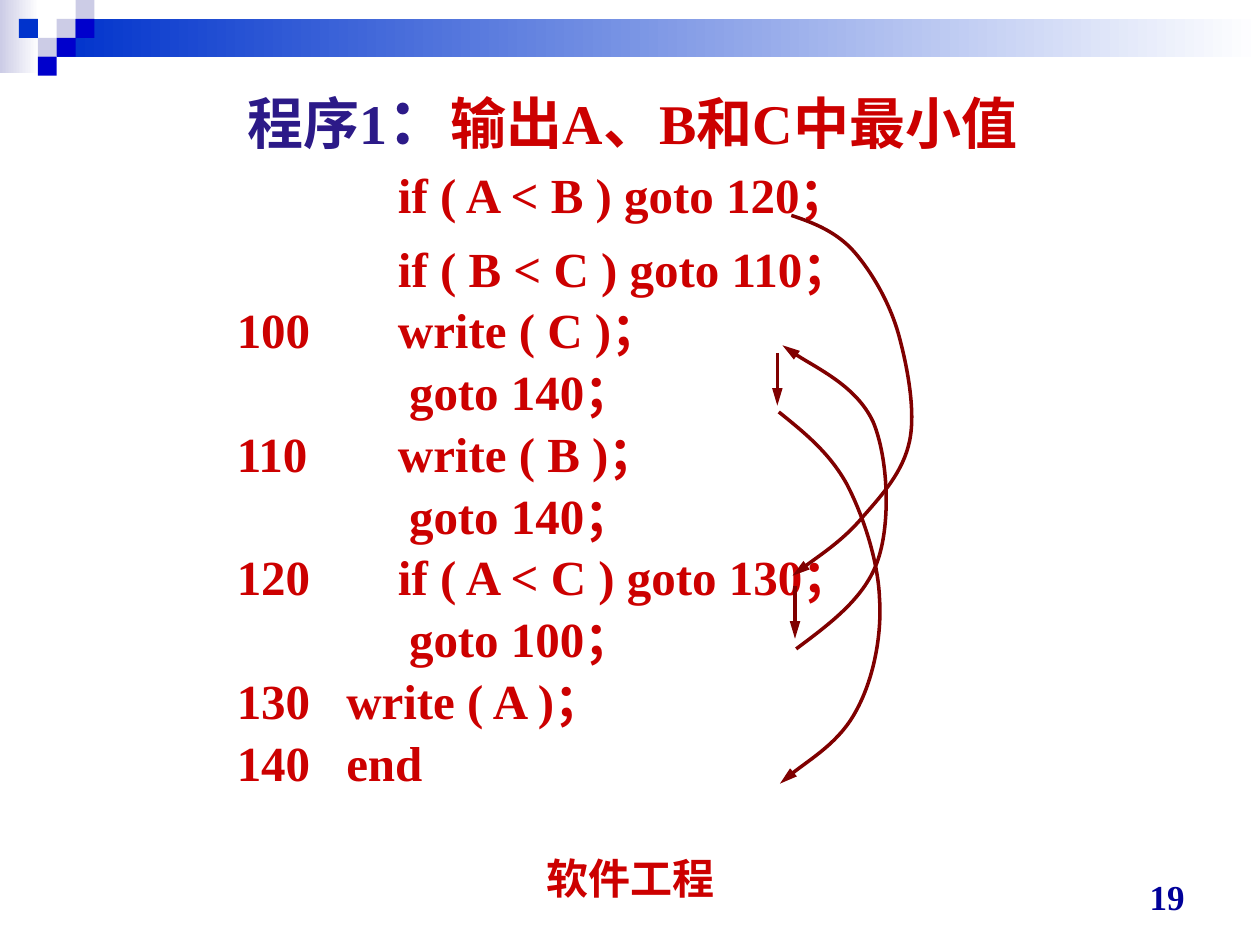
from typing import NamedTuple

from pptx import Presentation
from pptx.dml.color import RGBColor
from pptx.enum.shapes import MSO_CONNECTOR, MSO_SHAPE
from pptx.enum.text import MSO_ANCHOR, PP_ALIGN
from pptx.oxml.ns import qn
from pptx.util import Pt
from lxml.etree import SubElement

SERIF, SANS = "Times New Roman", "Arial"
RED, NAVY, INDIGO, MAROON = "CC0000", "000099", "2C1A88", "800000"
WHITE, LAVENDER, BLUE, DEEP_BLUE = "FFFFFF", "CCCCE6", "0033CC", "0000CC"
SQUARE = 10.8
LABEL_COLUMN = 14.4


class Span(NamedTuple):
    text: str
    size: float
    font: str
    color: str


class Tile(NamedTuple):
    column: int
    row: int
    color: str


class Statement(NamedTuple):
    label: str
    lines: tuple[str, ...]
    column: float = 106.5
    space_before: float = 0


class Jump(NamedTuple):
    """Start point, then two control points and an end point per curve segment."""
    points: tuple[tuple[float, float], ...]


class Step(NamedTuple):
    x: float
    top: float
    bottom: float


class Caption(NamedTuple):
    left: float
    top: float
    width: float
    height: float
    anchor: MSO_ANCHOR
    align: PP_ALIGN
    spans: tuple[Span, ...]


TILES = (
    Tile(3, 1, LAVENDER), Tile(4, 0, LAVENDER), Tile(4, 1, DEEP_BLUE),
    Tile(2, 2, LAVENDER), Tile(1, 1, BLUE), Tile(3, 2, DEEP_BLUE),
    Tile(2, 3, DEEP_BLUE),
)
PROGRAM = (
    Statement("", ("if ( A < B ) goto 120；",), space_before=7),
    Statement("", ("if ( B < C ) goto 110；",), space_before=7),
    Statement("100", ("write ( C )；", " goto 140；")),
    Statement("110", ("write ( B )；", " goto 140；")),
    Statement("120", ("if ( A < C ) goto 130；", " goto 100；")),
    Statement("130", ("write ( A )；",), column=77),
    Statement("140", ("end",), column=77),
)
JUMPS = (
    Jump(((452.2, 123.1), (465.1, 127.4), (478.1, 132.5), (488.2, 144),
          (498.2, 155.5), (508.3, 172.8), (513.4, 190.8),
          (518.4, 208.8), (523.4, 234.7), (519.8, 252),
          (516.2, 269.3), (504.7, 282.2), (493.2, 295.2),
          (482.4, 308.2), (460.1, 323.3), (452.9, 329))),
    Jump(((455, 370.8), (475.2, 355.7), (494.6, 341.3), (501.8, 319.7),
          (509, 298.1), (507.6, 262.1), (499, 241.2),
          (489.6, 221), (455.8, 204.5), (447.1, 197.3))),
    Jump(((445, 235.4), (459.4, 247), (473.8, 258.5), (483.8, 276.5),
          (493.2, 294.5), (501.8, 320.4), (502.6, 342),
          (504, 363.6), (499, 388.8), (488.9, 406.8),
          (479.5, 424.1), (452.9, 440.6), (445.7, 447.8))),
)
STEPS = (Step(454.3, 334.8, 365), Step(444.2, 201.6, 231.8))
CAPTIONS = (
    Caption(37.4, 25.2, 648, 85.7, MSO_ANCHOR.MIDDLE, PP_ALIGN.CENTER, (
        Span("程序1", 32, SERIF, INDIGO), Span("：", 36, SANS, INDIGO),
        Span("输出A、B和C中最小值", 32, SERIF, RED))),
    Caption(246.2, 483.8, 228.2, 36, MSO_ANCHOR.BOTTOM, PP_ALIGN.CENTER,
            (Span("软件工程", 24, SANS, RED),)),
    Caption(516.2, 491.8, 167.8, 36, MSO_ANCHOR.BOTTOM, PP_ALIGN.RIGHT,
            (Span("19", 20, SERIF, NAVY),)),
)


def rgb(color: str) -> RGBColor:
    return RGBColor.from_string(color)


def add_block(page, left: float, top: float, width: float, height: float,
              color: str, fade: bool = False) -> None:
    """Draw a borderless rectangle, solid or fading to white on the right."""
    block = page.shapes.add_shape(
        MSO_SHAPE.RECTANGLE, Pt(left), Pt(top), Pt(width), Pt(height))
    block.shadow.inherit = False
    block.line.fill.background()
    if fade:
        block.fill.gradient()
        block.fill.gradient_angle = 0
        for stop, stop_color in zip(block.fill.gradient_stops, (color, WHITE)):
            stop.color.rgb = rgb(stop_color)
    else:
        block.fill.solid()
        block.fill.fore_color.rgb = rgb(color)


def add_frame(page, left: float, top: float, width: float, height: float,
              anchor: MSO_ANCHOR):
    box = page.shapes.add_textbox(Pt(left), Pt(top), Pt(width), Pt(height))
    frame = box.text_frame
    frame.word_wrap = True
    frame.vertical_anchor = anchor
    return frame


def add_span(para, span: Span) -> None:
    run = para.add_run()
    run.text = span.text
    run.font.size = Pt(span.size)
    run.font.name = span.font
    run.font.bold = True
    run.font.color.rgb = rgb(span.color)


def add_caption(page, caption: Caption) -> None:
    frame = add_frame(page, *caption[:5])
    para = frame.paragraphs[0]
    para.alignment = caption.align
    for span in caption.spans:
        add_span(para, span)


def add_statement(para, statement: Statement) -> None:
    """Hang the label to the left of the code column."""
    para.line_spacing = 1.05
    para.space_before = Pt(statement.space_before)
    hang = LABEL_COLUMN - statement.column if statement.label else 0
    properties = para._p.get_or_add_pPr()
    properties.set("marL", str(Pt(statement.column)))
    properties.set("indent", str(Pt(hang)))
    if statement.label:
        add_span(para, Span(statement.label + "\t", 28, SERIF, RED))
    for number, line in enumerate(statement.lines):
        if number:
            para.add_line_break()
        add_span(para, Span(line, 28, SERIF, RED))


def style_arrow(arrow) -> None:
    arrow.line.color.rgb = rgb(MAROON)
    arrow.line.width = Pt(2)
    properties = arrow._element.spPr
    SubElement(properties.find(qn("a:ln")), qn("a:tailEnd"),
               type="triangle", w="med", len="lg")
    if properties.find(qn("a:effectLst")) is None:
        SubElement(properties, qn("a:effectLst"))


def add_jump(page, jump: Jump) -> None:
    """Build an open outline, then merge each three vertices into one Bézier."""
    start, *rest = [(Pt(x), Pt(y)) for x, y in jump.points]
    builder = page.shapes.build_freeform(*start)
    builder.add_line_segments(rest, close=False)
    curve = builder.convert_to_shape()
    curve.shadow.inherit = False
    curve.fill.background()
    vertices = curve._element.xpath(".//a:lnTo")
    outline = vertices[0].getparent()
    for first in range(0, len(vertices), 3):
        bezier = SubElement(outline, qn("a:cubicBezTo"))
        for vertex in vertices[first:first + 3]:
            bezier.append(vertex[0])
            outline.remove(vertex)
    style_arrow(curve)


def add_step(page, step: Step) -> None:
    style_arrow(page.shapes.add_connector(
        MSO_CONNECTOR.STRAIGHT, Pt(step.x), Pt(step.top), Pt(step.x), Pt(step.bottom)))


def main() -> None:
    deck = Presentation()
    deck.slide_width, deck.slide_height = Pt(720), Pt(540)
    page = deck.slides.add_slide(deck.slide_layouts[6])

    add_block(page, 0, 0, 22.3, 41.8, LAVENDER, fade=True)
    add_block(page, 3 * SQUARE, SQUARE, 687.6, 2 * SQUARE, BLUE, fade=True)
    for tile in TILES:
        add_block(page, tile.column * SQUARE, tile.row * SQUARE, SQUARE, SQUARE, tile.color)

    frame = add_frame(page, 113.8, 88.6, 522, 385.9, MSO_ANCHOR.TOP)
    for number, statement in enumerate(PROGRAM):
        para = frame.add_paragraph() if number else frame.paragraphs[0]
        add_statement(para, statement)

    for jump in JUMPS:
        add_jump(page, jump)
    for step in STEPS:
        add_step(page, step)
    for caption in CAPTIONS:
        add_caption(page, caption)
    deck.save("out.pptx")


if __name__ == "__main__":
    main()
